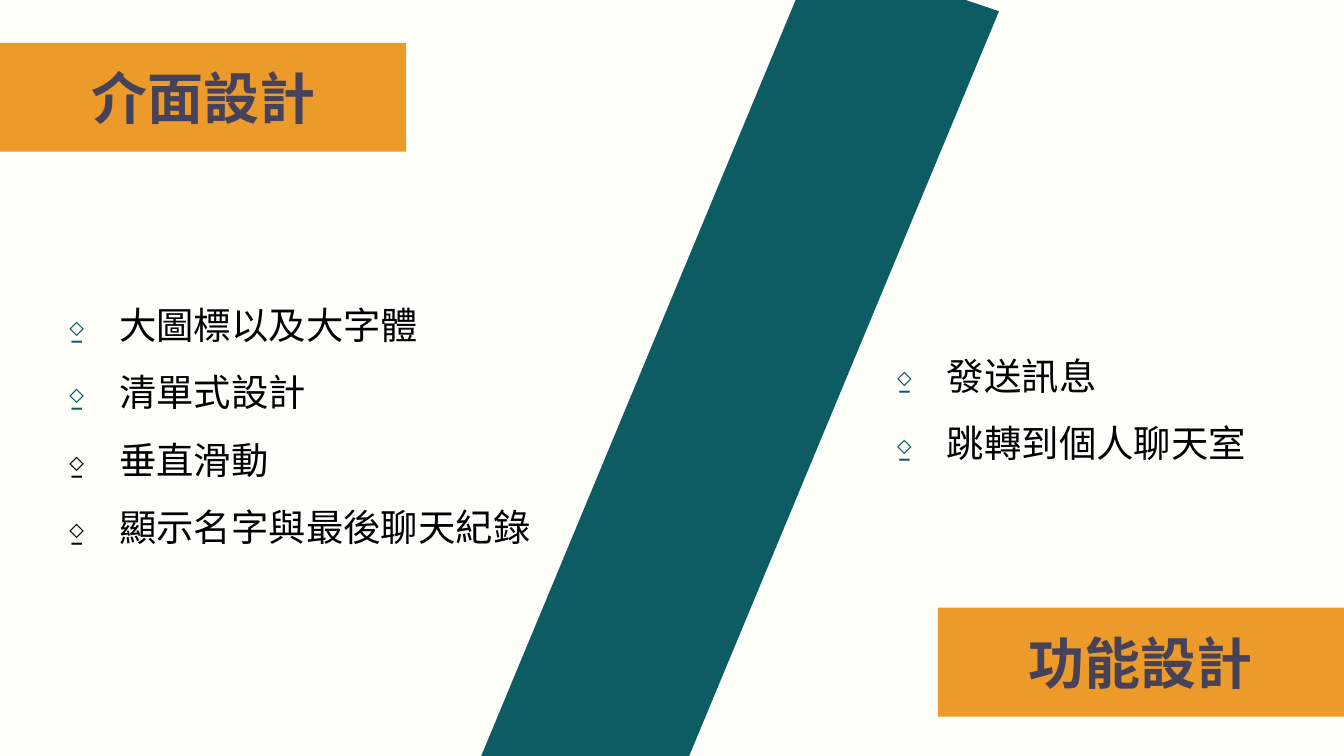
from pptx import Presentation
from pptx.dml.color import RGBColor
from pptx.enum.shapes import MSO_SHAPE as SHAPE
from pptx.enum.text import MSO_ANCHOR as ANCHOR, MSO_AUTO_SIZE as AUTO, PP_ALIGN as ALIGN
from pptx.oxml.ns import qn
from pptx.util import Pt
from lxml.etree import SubElement

IVORY = RGBColor(0xFF, 0xFF, 0xFA)
TEAL = RGBColor(0x0D, 0x5C, 0x63)
ORANGE = RGBColor(0xEC, 0x9A, 0x29)
PLUM = RGBColor(0x45, 0x42, 0x5A)
BLACK = RGBColor(0, 0, 0)

WIDTH, HEIGHT = 720, 405
BANNER_W, BANNER_H = 217.6, 58.3
HEADING = {"name": "Arial", "size": Pt(30), "bold": True}
BODY = {"name": "Arial", "size": Pt(20)}
FRAME = {"word_wrap": True, "margin_left": Pt(7.2), "margin_right": Pt(7.2),
         "margin_top": Pt(7.2), "margin_bottom": Pt(7.2)}


def set_attrs(target, values):
    for name, value in values.items():
        setattr(target, name, value)


def place(s, left, top, width, height):
    set_attrs(s, {"left": Pt(left), "top": Pt(top),
                  "width": Pt(width), "height": Pt(height)})


def write(p, text, style, color):
    r = p.add_run()
    r.text = text
    set_attrs(r.font, style)
    r.font.color.rgb = color


def paint(s, color):
    s.fill.solid()
    s.fill.fore_color.rgb = color
    s.line.fill.background()


def add_slash(sp):
    s = sp.add_shape(SHAPE.PARALLELOGRAM, Pt(322.6), Pt(-28.8), Pt(137.5), Pt(493.2))
    s.adjustments[0] = 0.25
    s.rotation = 18.6
    s.shadow.inherit = False
    paint(s, TEAL)


def format_banner(s, left, top, text):
    place(s, left, top, BANNER_W, BANNER_H)
    paint(s, ORANGE)
    tf = s.text_frame
    set_attrs(tf, {**FRAME, "auto_size": AUTO.NONE, "vertical_anchor": ANCHOR.MIDDLE})
    p = tf.paragraphs[0]
    p.alignment = ALIGN.CENTER
    write(p, text, HEADING, PLUM)


def add_bullet(p, color):
    pPr = p._p.get_or_add_pPr()
    pPr.set("marL", str(Pt(36)))
    pPr.set("indent", str(Pt(-28)))
    SubElement(SubElement(pPr, qn("a:buClr")), qn("a:srgbClr"), val=str(color))
    SubElement(pPr, qn("a:buFont"), typeface="Arial")
    SubElement(pPr, qn("a:buChar"), char="⍚")


def add_list(sp, left, top, height, items):
    tf = sp.add_textbox(Pt(left), Pt(top), Pt(274.5), Pt(height)).text_frame
    set_attrs(tf, {**FRAME, "auto_size": AUTO.SHAPE_TO_FIT_TEXT})
    for i, (text, color) in enumerate(items):
        p = tf.add_paragraph() if i else tf.paragraphs[0]
        p.line_spacing = 1.5
        add_bullet(p, color)
        write(p, text, BODY, BLACK)


def main():
    prs = Presentation()
    set_attrs(prs, {"slide_width": Pt(WIDTH), "slide_height": Pt(HEIGHT)})
    slide = prs.slides.add_slide(prs.slide_layouts[5])
    slide.background.fill.solid()
    slide.background.fill.fore_color.rgb = IVORY
    sp = slide.shapes

    add_slash(sp)
    format_banner(sp.title, 0, 23, "介面設計")
    s = sp.add_shape(SHAPE.RECTANGLE, 0, 0, 0, 0)
    s.shadow.inherit = False
    format_banner(s, WIDTH - BANNER_W, 325.6, "功能設計")

    add_list(sp, 20.8, 142.8, 147.6, [
        ("大圖標以及大字體", TEAL),
        ("清單式設計", TEAL),
        ("垂直滑動", BLACK),
        ("顯示名字與最後聊天紀錄", BLACK),
    ])
    add_list(sp, 464.2, 169.8, 74.9, [
        ("發送訊息", TEAL),
        ("跳轉到個人聊天室", TEAL),
    ])
    prs.save("out.pptx")


if __name__ == "__main__":
    main()
